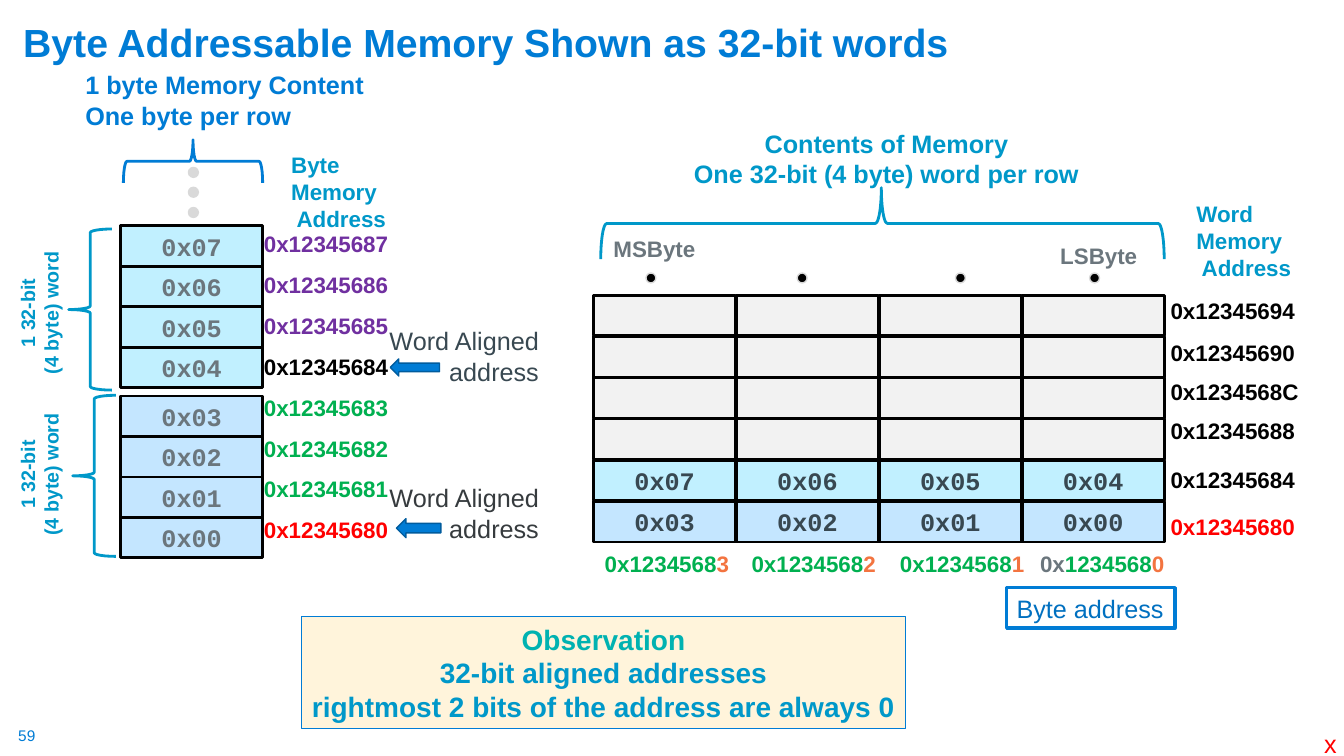
from pptx import Presentation
from pptx.dml.color import RGBColor
from pptx.enum.shapes import MSO_SHAPE
from pptx.enum.text import MSO_ANCHOR, PP_ALIGN
from pptx.util import Cm, Pt

RECT, DOT = MSO_SHAPE.RECTANGLE, MSO_SHAPE.OVAL
BRACE, ARROW = MSO_SHAPE.RIGHT_BRACE, MSO_SHAPE.DOWN_ARROW
LEFT, MID, RIGHT = PP_ALIGN.LEFT, PP_ALIGN.CENTER, PP_ALIGN.RIGHT
TOP, CENTRE, BOTTOM = MSO_ANCHOR.TOP, MSO_ANCHOR.MIDDLE, MSO_ANCHOR.BOTTOM


class Theme:
    sans, mono = "Arial", "Courier New"
    blue, teal, aqua, link = "007CD5", "0098C9", "00B2B1", "0070C0"
    black, red, green, violet = "000000", "FF0000", "00B050", "7030A0"
    orange, grey, slate, ink = "F37440", "6B767D", "384851", "363B3E"
    high, low, empty, cream = "C1F0FF", "C4E6FF", "F2F2F2", "FFF4DB"
    pale, edge = "D9D9D9", "005C9E"
    title, note, body, label, side, foot = 28, 20, 18, 16, 14, 11


T = Theme

# Content; all lengths are in centimetres
TITLE = "Byte Addressable Memory Shown as 32-bit words"
WORDS = [  # top of the block, fill, bytes from the top down
    (5.69, T.high, ["0x07", "0x06", "0x05", "0x04"]),
    (9.98, T.low, ["0x03", "0x02", "0x01", "0x00"]),
]
BYTE_ADDRS = [
    ("0x12345687", T.violet), ("0x12345686", T.violet),
    ("0x12345685", T.violet), ("0x12345684", T.black),
    ("0x12345683", T.green), ("0x12345682", T.green),
    ("0x12345681", T.green), ("0x12345680", T.red),
]
WORD_ADDRS = [  # address, top, colour
    ("0x12345694", 7.37, T.black), ("0x12345690", 8.43, T.black),
    ("0x1234568C", 9.4, T.black), ("0x12345688", 10.39, T.black),
    ("0x12345684", 11.61, T.black), ("0x12345680", 12.8, T.red),
]
ENDS = [  # left, coloured parts
    (14.99, [("0x1234568", T.green), ("3", T.orange)]),
    (18.69, [("0x1234568", T.green), ("2", T.orange)]),
    (22.43, [("0x1234568", T.green), ("1", T.orange)]),
    (25.96, [("0x", T.grey), ("1234568", T.green), ("0", T.orange)]),
]
SPAN = ["1 32-bit", "(4 byte) word"]
SIDES = [  # brace box, label top
    ((1.73, 5.77, 1.09, 4.06), 7.16),
    ((1.83, 9.96, 1.09, 4.06), 11.23),
]
TOPS = [  # brace box, colour, pinch
    ((4.32, 2.31, 1.09, 3.51), T.blue, 0.5),
    ((21.34, -1.47, 1.8, 14.2), T.teal, 0.498),
]
ALIGNED = "Word Aligned address"
NOTES = [  # text top, text colour, arrow box
    (8.08, T.slate, (10.24, 8.64, 0.43, 1.24)),
    (12.04, T.ink, (10.31, 12.75, 0.48, 1.12)),
]
LABELS = [  # lines, box, size, colour
    (["1 byte Memory Content", "One byte per row"], (1.9, 1.63, 7.59, 1.8), T.body, T.blue),
    (["Byte", "Memory", " Address"], (7.09, 3.68, 2.92, 2.31), T.label, T.teal),
    (["Word", "Memory", " Address"], (29.9, 4.93, 2.92, 2.31), T.label, T.teal),
    (["MSByte"], (15.21, 5.79, 2.59, 0.94), T.label, T.grey),
    (["LSByte"], (26.47, 5.97, 2.46, 0.94), T.label, T.grey),
]
DOTS = [(4.75, y, T.pale) for y in (4.22, 4.72, 5.23)]
DOTS += [(x, 6.88, T.black) for x in (16.28, 20.09, 24.08, 27.46)]
CELL_W, CELL_H = 3.58, 1.02
BYTE_X, BYTE_STEP = 3.04, 1.02
ADDR_X, ADDR_Y, ADDR_STEP = 6.4, 5.68, 1.03
GRID_X, GRID_Y, COL_STEP, ROW_STEP = 14.96, 7.44, 3.6, 1.04
ADDR_SIZE = (4, 0.94)

prs = Presentation()
prs.slide_width, prs.slide_height = Cm(33.87), Cm(19.05)
slide = prs.slides.add_slide(prs.slide_layouts[5])
shapes = slide.shapes


def cm(box):
    return [Cm(v) for v in box]


def rgb(code):
    return RGBColor.from_string(code)


def style(font, size, color, bold=True, face=T.sans):
    font.name, font.size, font.bold = face, Pt(size), bold
    font.color.rgb = rgb(color)


def write(frame, lines, size, color, align=LEFT, bold=True, face=T.sans,
          anchor=TOP, wrap=False):
    frame.word_wrap, frame.vertical_anchor = wrap, anchor
    frame.text = "\n".join(lines)
    for para in frame.paragraphs:
        para.alignment = align
        for run in para.runs:
            style(run.font, size, color, bold, face)


def text(lines, box, size, color, **opts):
    item = shapes.add_textbox(*cm(box))
    write(item.text_frame, lines, size, color, **opts)
    return item


def shape(kind, box, fill, line, width, turn=0):
    item = shapes.add_shape(kind, *cm(box))
    item.shadow.inherit = False
    item.rotation = turn
    if fill:
        item.fill.solid()
        item.fill.fore_color.rgb = rgb(fill)
    else:
        item.fill.background()
    item.line.color.rgb = rgb(line)
    item.line.width = Pt(width)
    return item


def cell(x, y, fill, value="", color=T.slate):
    item = shape(RECT, (x, y, CELL_W, CELL_H), fill, T.black, 2)
    if value:
        write(item.text_frame, [value], T.body, color, align=MID,
              face=T.mono, anchor=CENTRE, wrap=True)


head = shapes.title
head.left, head.top, head.width, head.height = cm((0.33, 0.13, 33.25, 1.65))
write(head.text_frame, [TITLE], T.title, T.blue, anchor=BOTTOM, wrap=True)
head.text_frame.paragraphs[0].line_spacing = 0.9

# Byte column
for i, (addr, color) in enumerate(BYTE_ADDRS):
    text([addr], (ADDR_X, ADDR_Y + i * ADDR_STEP, *ADDR_SIZE), T.label, color)
for top, fill, values in WORDS:
    for i, value in enumerate(values):
        cell(BYTE_X, top + i * BYTE_STEP, fill, value, T.grey)
for box, top in SIDES:
    shape(BRACE, box, None, T.teal, 2, 180)
    label = text(SPAN, (-1.04, top, 4.06, 1.45), T.side, T.teal, align=MID, wrap=True)
    label.rotation = 270
for top, color, box in NOTES:
    text([ALIGNED], (8.72, top, 5.11, 1.8), T.body, color, align=RIGHT,
         bold=False, wrap=True)
    shape(ARROW, box, T.blue, T.edge, 1, 90)

# Word grid
rows = [(T.empty, [""] * 4)] * 4 + [word[1:] for word in WORDS]
for r, (fill, values) in enumerate(rows):
    for c, value in enumerate(values):
        cell(GRID_X + c * COL_STEP, GRID_Y + r * ROW_STEP, fill, value)
for addr, top, color in WORD_ADDRS:
    text([addr], (29.25, top, *ADDR_SIZE), T.label, color)
for x, parts in ENDS:
    frame = shapes.add_textbox(*cm((x, 13.74, *ADDR_SIZE))).text_frame
    frame.word_wrap = False
    for part, color in parts:
        run = frame.paragraphs[0].add_run()
        run.text = part
        style(run.font, T.label, color)
text(["Contents of Memory", "One 32-bit (4 byte) word per row"],
     (16.79, 3.1, 11.1, 1.8), T.body, T.teal, align=MID, wrap=True)
tag = shape(RECT, (25.37, 14.81, 4.24, 1.02), None, T.blue, 2.5)
write(tag.text_frame, ["Byte address"], T.body, T.link, bold=False, anchor=CENTRE)

# Labels, braces and dots of both views
for lines, box, size, color in LABELS:
    text(lines, box, size, color)
for box, color, pinch in TOPS:
    brace = shape(BRACE, box, None, color, 2, 270)
    brace.adjustments[1] = pinch
for x, y, color in DOTS:
    shape(DOT, (x, y, 0.25, 0.25), color, T.pale, 1)

note = shape(RECT, (7.59, 15.54, 15.24, 2.82), T.cream, T.blue, 0.75)
write(note.text_frame, ["Observation", "32-bit aligned addresses",
                        "rightmost 2 bits of the address are always 0"],
      T.note, T.teal, align=MID, anchor=CENTRE, wrap=True)
note.text_frame.paragraphs[0].runs[0].font.color.rgb = rgb(T.aqua)

page = text(["59"], (0.46, 18.31, 0.48, 0.48), T.foot, T.blue, bold=False).text_frame
page.margin_left = page.margin_right = page.margin_top = page.margin_bottom = 0
text(["x"], (33.12, 18.24, 0.84, 1.02), T.body, T.red, bold=False)

prs.save("out.pptx")
